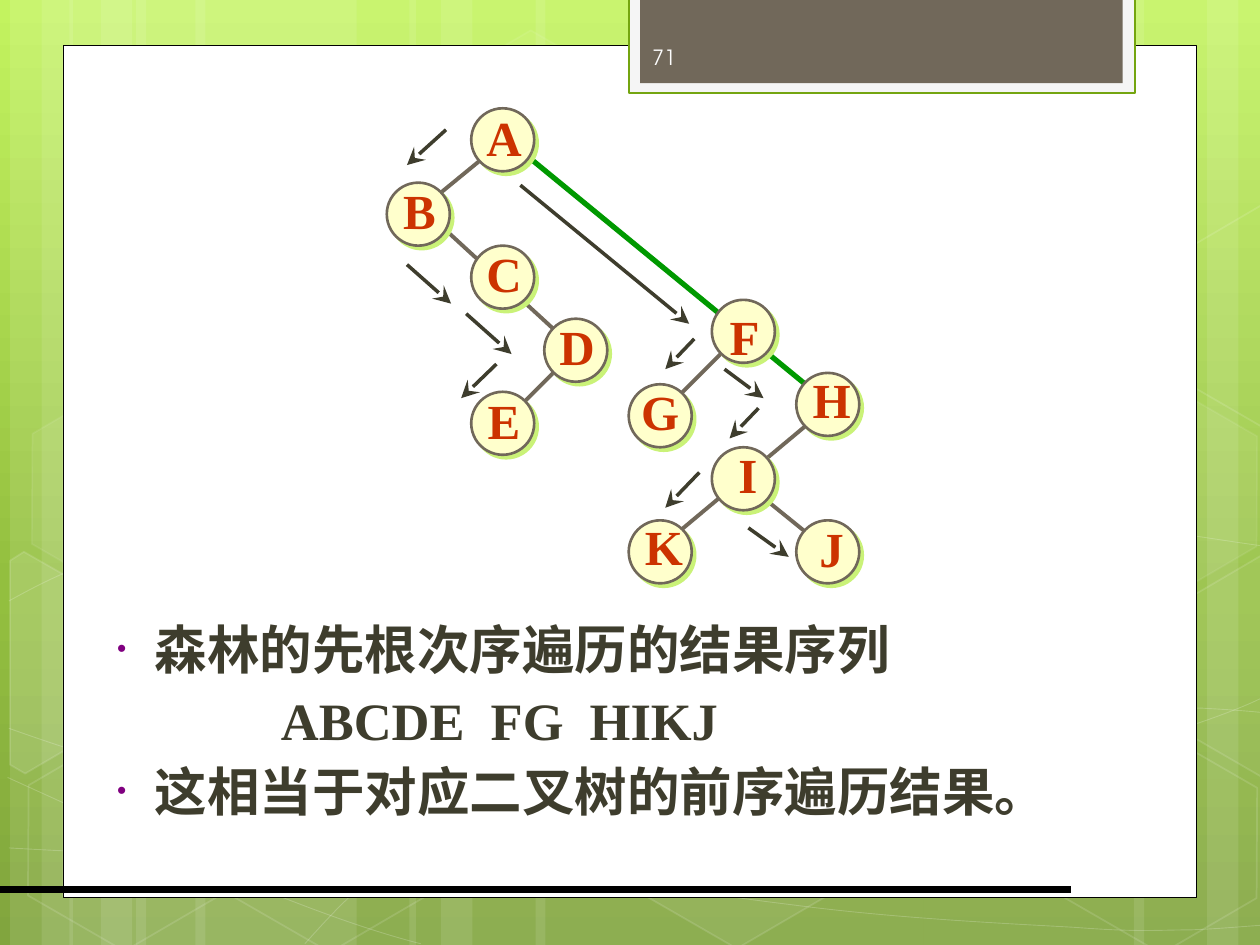
import copy

from lxml import etree
from pptx import Presentation
from pptx.dml.color import RGBColor
from pptx.enum import shapes, text
from pptx.oxml.ns import qn
from pptx.util import Inches, Pt

WHITE, BLACK = RGBColor(255, 255, 255), RGBColor(0, 0, 0)
BROWN, GREEN = RGBColor(0x71, 0x68, 0x5A), RGBColor(0, 0x99, 0)
INK, RED = RGBColor(0x3E, 0x3D, 0x2D), RGBColor(0xCC, 0x33, 0)
CREAM, PALE = RGBColor(255, 255, 0xCC), RGBColor(0xF5, 0xF5, 0xF5)
TAB_LINE, NUMBER = RGBColor(0x74, 0xA5, 0x10), RGBColor(0xFE, 0xFE, 0xFE)
SERIF, SANS = "Times New Roman", "TeX Gyre Adventor"
BACKDROP = [(0, "C3F35F"), (0.62, "93BF3F"), (1, "81A53E")]

# Content: (bulleted, text)
POINTS = [(True, "森林的先根次序遍历的结果序列"),
          (False, "\t\tABCDE  FG  HIKJ"),
          (True, "这相当于对应二叉树的前序遍历结果。")]

# Tree nodes: letter, circle left and top, label left, top and width
NODE_SIZE = 0.5
NODES = [("A", 3.74, 0.86, 3.76, 0.80, 0.48), ("B", 3.07, 1.45, 3.10, 1.38, 0.46),
         ("C", 3.74, 1.95, 3.76, 1.88, 0.48), ("D", 4.32, 2.53, 4.34, 2.46, 0.48),
         ("E", 3.74, 3.11, 3.77, 3.05, 0.46), ("F", 5.65, 2.38, 5.69, 2.38, 0.44),
         ("G", 4.99, 3.05, 4.99, 2.98, 0.50), ("H", 6.32, 2.96, 6.35, 2.88, 0.50),
         ("I", 5.65, 3.55, 5.76, 3.48, 0.35), ("J", 6.32, 4.13, 6.40, 4.06, 0.40),
         ("K", 4.99, 4.13, 5.02, 4.05, 0.50)]
ROOT_LINK = (4.15, 1.21, 6.49, 3.13)
BRANCHES = [(4.49, 2.86, 4.07, 3.28), (3.4, 1.7, 4.49, 2.7), (3.9, 1.2, 3.4, 1.61),
            (6.07, 3.96, 6.49, 4.3), (6.49, 3.3, 5.4, 4.21), (5.82, 2.71, 5.32, 3.21)]
VISIT_STEPS = [(3.54, 1.03, 3.23, 1.31), (3.23, 2.1, 3.58, 2.41), (3.7, 2.49, 4.06, 2.81),
               (3.94, 2.89, 3.66, 3.16), (4.13, 1.47, 5.47, 2.57), (5.51, 2.69, 5.28, 2.93),
               (5.75, 2.93, 6.06, 3.16), (6.02, 3.24, 5.79, 3.48), (5.55, 3.75, 5.28, 4.03),
               (5.94, 4.19, 6.26, 4.42)]

# Backdrop: stripes (left, width), Bezier waves (start, then two controls and an end
# per piece), hexagons (left, top, fill %, line %), hexagons cut by the slide edge
STRIPES = [(1.08, 1.75), (0.08, 0.5), (0.33, 0.83), (1.55, 1.75), (0.55, 0.5), (0.8, 0.83),
           (7.33, 1.75), (9.58, 0.5), (9, 0.83), (4.25, 3.08), (3.25, 0.5), (3.5, 0.83)]
WAVES = [
    [(0.07, 6.73), (0.61, 6.76), (1.15, 6.79), (1.9, 6.78), (2.65, 6.77), (3.58, 6.75),
     (4.58, 6.65), (5.58, 6.55), (7, 6.36), (7.92, 6.17), (8.83, 5.98), (9.77, 5.68), (10.07, 5.51)],
    [(0.07, 4.77), (0.36, 4.61), (0.65, 4.46), (1.21, 4.31), (1.78, 4.16), (2.59, 3.94),
     (3.47, 3.87), (4.36, 3.8), (5.44, 3.79), (6.54, 3.87), (7.64, 3.95), (9.47, 4.26), (10.07, 4.34)],
    [(0.06, 6.17), (1.27, 6.72), (2.47, 7.27), (3.34, 7.49)],
    [(0.07, 5.78), (0.38, 5.89), (0.7, 6), (1.28, 6.16), (1.86, 6.31), (2.73, 6.56),
     (3.57, 6.73), (4.4, 6.9), (5.45, 7.08), (6.28, 7.18), (7.11, 7.29), (8, 7.33),
     (8.53, 7.36), (9.05, 7.4), (9.19, 7.38), (9.45, 7.38), (9.71, 7.37), (9.89, 7.35), (10.07, 7.34)],
    [(2.42, 7.49), (2.6, 7.29), (2.78, 7.09), (3.02, 6.91), (3.26, 6.73), (3.6, 6.53),
     (3.88, 6.39), (4.16, 6.25), (4.33, 6.19), (4.7, 6.09), (5.06, 5.99), (5.73, 5.85),
     (6.08, 5.78), (6.44, 5.71), (6.49, 5.71), (6.8, 5.69), (7.11, 5.66), (7.6, 5.63),
     (7.94, 5.62), (8.29, 5.61), (8.86, 5.62), (8.86, 5.62), (9.08, 5.62), (9.31, 5.62),
     (9.53, 5.62), (9.71, 5.63), (9.88, 5.64), (10.06, 5.66)]]
HEXAGONS = [(3.34, 0.36, 4, 8), (4.97, 5.89, 6, 12), (0.11, 5.91, 0, 12), (0.14, 3.12, 7, 8),
            (1.74, 5.92, 0, 12), (7.53, 4.53, 10, 12), (8.34, 5.93, 0, 12), (8.34, 3.14, 7, 8)]
CUT_HEXAGONS = [
    (10, [(0.08, 4.45), (0.19, 4.38), (0.96, 4.82), (0.95, 5.7), (0.2, 6.14), (0.08, 6.07)]),
    (4, [(9.26, 4.85), (10.01, 4.41), (10.09, 4.46), (10.09, 6.13), (10.02, 6.17), (9.26, 5.73)]),
    (0, [(9.26, 2.07), (10.01, 1.63), (10.1, 1.68), (10.09, 3.35), (10.02, 3.39), (9.26, 2.95)])]


def add(parent, tag, **attributes):
    return etree.SubElement(parent, qn(tag), attributes)


def paint(shape, fill=None, line=None, width=1, fill_opacity=100, line_opacity=100):
    shape.shadow.inherit = False
    if fill is None or not fill_opacity:
        shape.fill.background()
    else:
        shape.fill.solid()
        shape.fill.fore_color.rgb = fill
    if line is None:
        shape.line.fill.background()
    else:
        shape.line.color.rgb = line
        shape.line.width = Pt(width)
    solid = qn("a:solidFill") + "/" + qn("a:srgbClr")
    for where, percent in ((solid, fill_opacity), (qn("a:ln") + "/" + solid, line_opacity)):
        color = shape._element.spPr.find(where)
        if color is not None and percent < 100:
            add(color, "a:alpha", val=str(percent * 1000))
    return shape


def add_preset(slide, kind, box, **look):
    return paint(slide.shapes.add_shape(kind, *map(Inches, box)), **look)


def add_outline(slide, points, close, **look):
    corners = [(Inches(x), Inches(y)) for x, y in points]
    builder = slide.shapes.build_freeform(*corners[0], scale=1.0)
    builder.add_line_segments(corners[1:], close=close)
    return paint(builder.convert_to_shape(), **look)


def add_wave(slide, points):
    wave = add_outline(slide, points, False, line=WHITE, width=0.5, line_opacity=20)
    segments = list(wave._element.iter(qn("a:lnTo")))
    # Each three straight segments become one Bezier piece
    for i in range(0, len(segments), 3):
        piece = etree.Element(qn("a:cubicBezTo"))
        segments[i].addprevious(piece)
        for segment in segments[i:i + 3]:
            piece.append(segment[0])
            segment.getparent().remove(segment)


def add_line(slide, ends, color, width, arrow=False):
    line = slide.shapes.add_connector(shapes.MSO_CONNECTOR.STRAIGHT, *map(Inches, ends))
    line.line.color.rgb = color
    line.line.width = Pt(width)
    if arrow:
        add(line.line._get_or_add_ln(), "a:tailEnd", type="stealth", w="lg", len="lg")
    add(line._element.spPr, "a:effectLst")


def write(paragraph, words, color, **font):
    run = paragraph.add_run()
    run.text = words
    run.font.color.rgb = color
    for key, value in font.items():
        setattr(run.font, key, value)


def add_label(slide, box, words, color, align, wrap, **font):
    frame = slide.shapes.add_textbox(*map(Inches, box)).text_frame
    frame.word_wrap = wrap
    frame.vertical_anchor = text.MSO_ANCHOR.MIDDLE
    frame.paragraphs[0].alignment = align
    write(frame.paragraphs[0], words, color, **font)


def draw_backdrop(slide):
    fill = slide.background.fill
    fill.gradient()
    fill.gradient_angle = 270
    first_stop = fill.gradient_stops[0]._gs
    first_stop.addnext(copy.deepcopy(first_stop))
    for stop, (position, color) in zip(fill.gradient_stops, BACKDROP):
        stop.position = position
        stop.color.rgb = RGBColor.from_string(color)
    kinds = shapes.MSO_SHAPE
    for left, width in STRIPES:
        add_preset(slide, kinds.RECTANGLE, (left, 0, width, 7.5), fill=WHITE, fill_opacity=10)
    for wave in WAVES:
        add_wave(slide, wave)
    for left, top, fill_opacity, line_opacity in HEXAGONS:
        hexagon = add_preset(slide, kinds.HEXAGON, (left, top, 1.75, 1.52), fill=WHITE, line=WHITE,
                             fill_opacity=fill_opacity, line_opacity=line_opacity)
        hexagon.adjustments[0] = 0.285
        hexagon.rotation = 30
    for opacity, corners in CUT_HEXAGONS:
        add_outline(slide, corners, True, fill=WHITE, line=WHITE, fill_opacity=opacity, line_opacity=12)
    # Page, number tab and bottom rule
    add_preset(slide, kinds.RECTANGLE, (0.5, 0.36, 9, 6.76), fill=WHITE, line=BLACK, width=0.5)
    add_preset(slide, kinds.RECTANGLE, (4.99, -0.02, 4.02, 0.76), fill=PALE, line=TAB_LINE, width=1.25)
    add_preset(slide, kinds.RECTANGLE, (5.08, -0.02, 3.83, 0.68), fill=BROWN)
    add_line(slide, (0, 7.06, 8.5, 7.06), BLACK, 4.5)
    add_label(slide, (5.08, 0.25, 1.46, 0.4), "71", NUMBER, text.PP_ALIGN.LEFT, True,
              name=SANS, size=Pt(12))


def fill_body(body):
    body.left, body.top, body.width, body.height = map(Inches, (0.75, 4.85, 9, 2.01))
    frame = body.text_frame
    frame.auto_size = text.MSO_AUTO_SIZE.NONE
    for i, (bulleted, words) in enumerate(POINTS):
        paragraph = frame.add_paragraph() if i else frame.paragraphs[0]
        paragraph.space_before = Pt(4.5)
        props = paragraph._p.get_or_add_pPr()
        for key, inches in {"marL": 0.38, "indent": -0.3, "defTabSz": 1}.items():
            props.set(key, str(Inches(inches)))
        if bulleted:
            add(add(props, "a:buClr"), "a:srgbClr", val="800080")
            add(props, "a:buSzPct", val="50000")
            add(props, "a:buChar", char="•")
        else:
            add(props, "a:buNone")
        write(paragraph, words, INK, name=SERIF, size=Pt(30), bold=True)


def draw_tree(slide):
    add_line(slide, ROOT_LINK, GREEN, 3)
    for branch in BRANCHES:
        add_line(slide, branch, BROWN, 2.25)
    for letter, left, top, label_left, label_top, label_width in NODES:
        node = add_preset(slide, shapes.MSO_SHAPE.OVAL, (left, top, NODE_SIZE, NODE_SIZE),
                          fill=CREAM, line=BROWN, width=1.5)
        shadow = add(node._element.spPr.find(qn("a:effectLst")), "a:outerShdw", blurRad="0",
                     dist=str(Pt(2.8)), dir="2700000", algn="ctr", rotWithShape="0")
        add(shadow, "a:srgbClr", val="CAF278")
        add_label(slide, (label_left, label_top, label_width, 0.57), letter, RED,
                  text.PP_ALIGN.CENTER, False, name=SERIF, size=Pt(28), bold=True)
    for step in VISIT_STEPS:
        add_line(slide, step, INK, 2, arrow=True)


def main():
    deck = Presentation()
    deck.slide_width, deck.slide_height = Inches(10), Inches(7.5)
    slide = deck.slides.add_slide(deck.slide_layouts[1])
    title, body = slide.placeholders
    title._element.getparent().remove(title._element)
    draw_backdrop(slide)
    fill_body(body)
    # Text goes in front of the backdrop
    slide.shapes._spTree.append(body._element)
    draw_tree(slide)
    deck.save("out.pptx")


if __name__ == "__main__":
    main()
